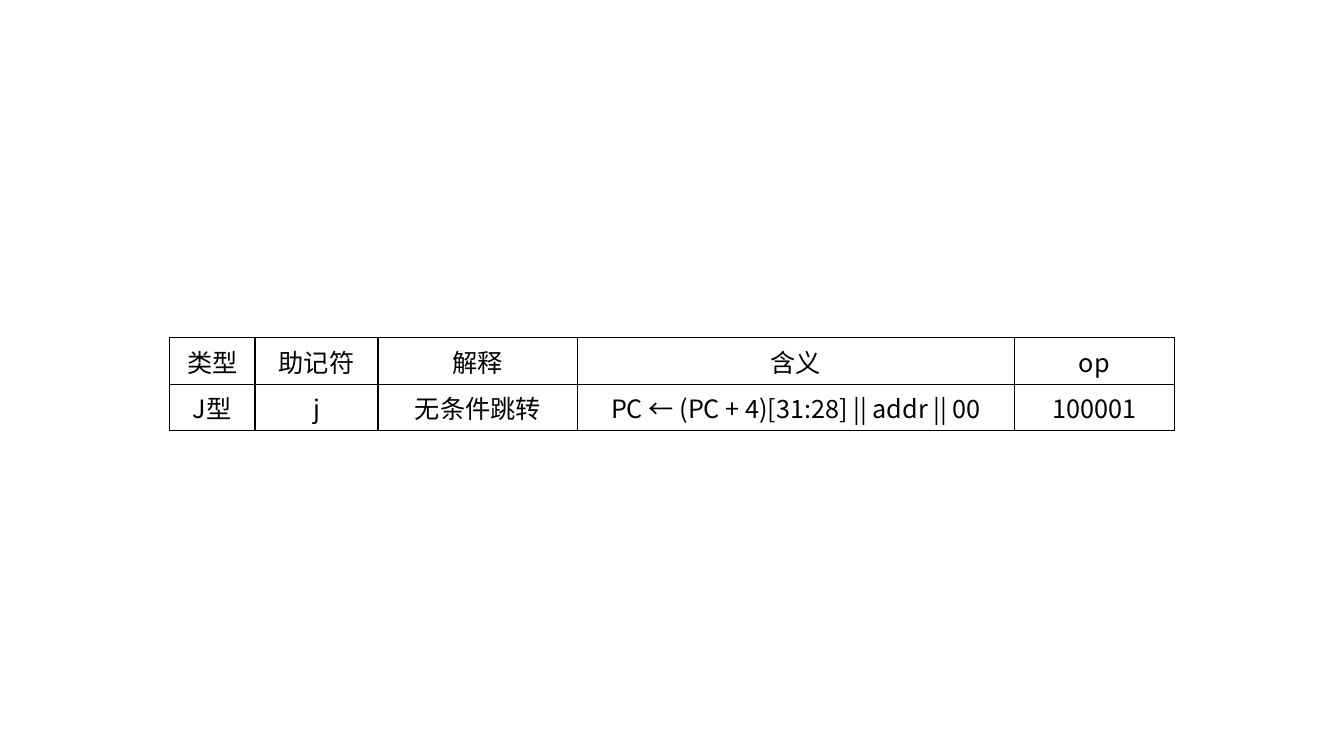
from lxml import etree
from pptx import Presentation
from pptx.dml.color import RGBColor
from pptx.enum.text import MSO_ANCHOR, PP_ALIGN
from pptx.oxml.ns import qn
from pptx.util import Inches, Pt

CENTER = PP_ALIGN.CENTER
MIDDLE = MSO_ANCHOR.MIDDLE
BLANK_LAYOUT = 6

COLORS = {"ink": "000000", "paper": "FFFFFF"}
COLUMN_WIDTHS = [0.85, 1.22, 1.98, 4.33, 1.59]
ROW_HEIGHT = 0.46
INSTRUCTIONS = [
    ["类型", "助记符", "解释", "含义", "op"],
    ["J型", "j", "无条件跳转", "PC ← (PC + 4)[31:28] || addr || 00", "100001"],
]


class SlideBuilder:
    """Holds the text and border style together with the current slide."""

    font = "Noto Sans CJK SC"
    size = Pt(18)
    border_width = Pt(1)

    def __init__(self, slide):
        self.slide = slide

    def add_table(self, left, top, widths, row_height, rows):
        frame = self.slide.shapes.add_table(
            len(rows), len(widths), Inches(left), Inches(top),
            Inches(sum(widths)), Inches(row_height * len(rows)))
        table = frame.table
        table.first_row = False
        table.horz_banding = False
        for column, width in zip(table.columns, widths):
            column.width = Inches(width)
        for row, texts in zip(table.rows, rows):
            row.height = Inches(row_height)
            for cell, text in zip(row.cells, texts):
                self.format_cell(cell, text)

    def format_cell(self, cell, text):
        cell.text_frame.text = text
        cell.vertical_anchor = MIDDLE
        cell.fill.solid()
        cell.fill.fore_color.rgb = RGBColor.from_string(COLORS["paper"])
        self.add_borders(cell)
        paragraph = cell.text_frame.paragraphs[0]
        paragraph.alignment = CENTER
        for run in paragraph.runs:
            run.font.size = self.size
            run.font.name = self.font
            run.font.color.rgb = RGBColor.from_string(COLORS["ink"])
            # Chinese characters take the East Asian typeface
            east_asian = etree.SubElement(run.font._element, qn("a:ea"))
            east_asian.set("typeface", self.font)

    def add_borders(self, cell):
        # Border lines come before the fill in the cell properties
        properties = cell._tc.get_or_add_tcPr()
        for index, side in enumerate("LRTB"):
            line = etree.Element(qn(f"a:ln{side}"), w=str(self.border_width))
            fill = etree.SubElement(line, qn("a:solidFill"))
            etree.SubElement(fill, qn("a:srgbClr"), val=COLORS["ink"])
            properties.insert(index, line)


def main():
    presentation = Presentation()
    presentation.slide_width = Inches(13.33)
    presentation.slide_height = Inches(7.5)
    slide = presentation.slides.add_slide(presentation.slide_layouts[BLANK_LAYOUT])

    # Table of jump instructions
    builder = SlideBuilder(slide)
    builder.add_table(1.68, 3.35, COLUMN_WIDTHS, ROW_HEIGHT, INSTRUCTIONS)

    presentation.save("out.pptx")


if __name__ == "__main__":
    main()
